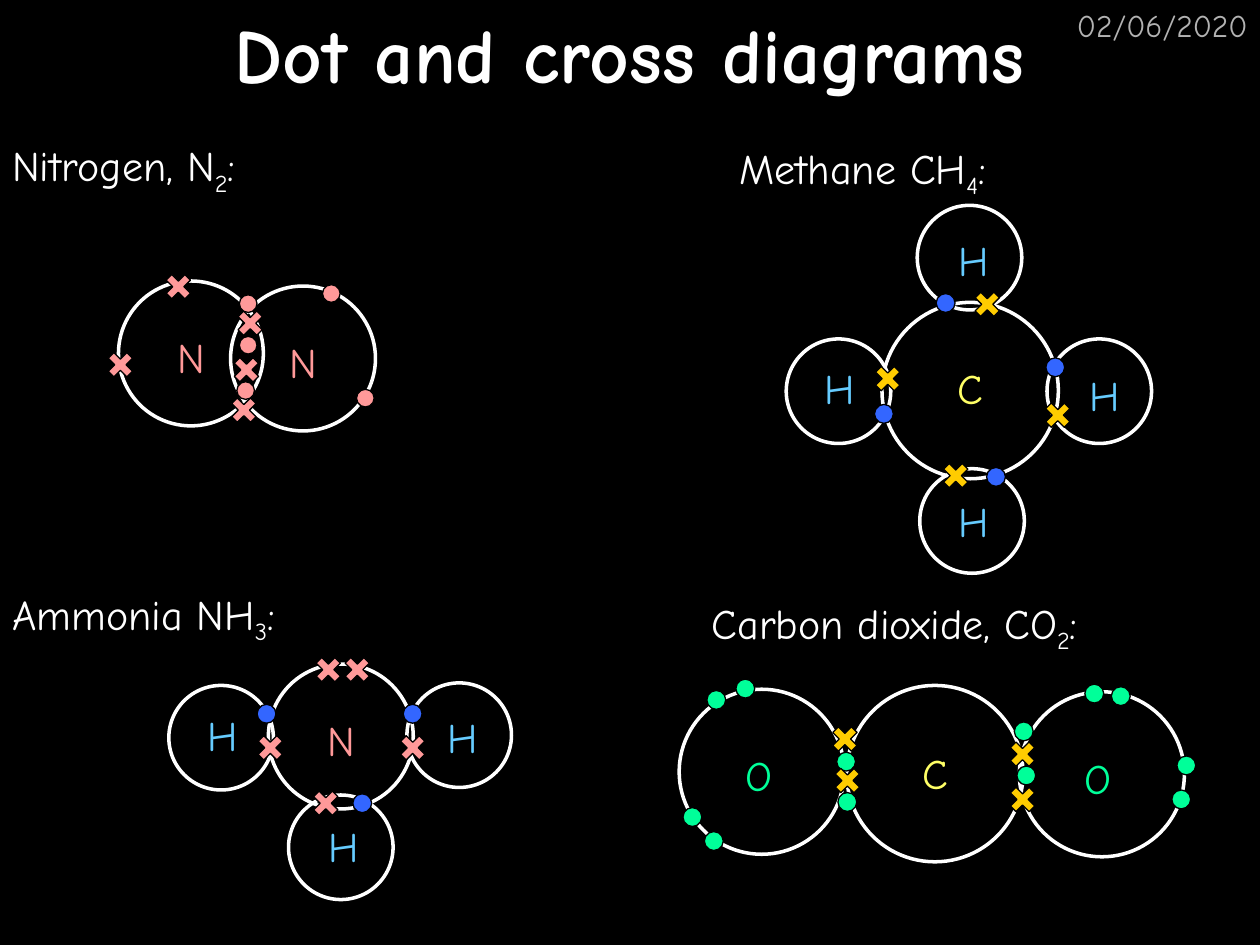
from pptx import Presentation
from pptx.dml.color import RGBColor
from pptx.enum.shapes import MSO_SHAPE as Shape
from pptx.enum.text import MSO_ANCHOR as Anchor, MSO_AUTO_SIZE as AutoSize, PP_ALIGN as Align
from pptx.util import Inches, Pt

FONT = "Comic Neue"
BLACK = RGBColor(0x00, 0x00, 0x00)
WHITE = RGBColor(0xFF, 0xFF, 0xFF)
GREY = RGBColor(0xB2, 0xB2, 0xB2)
PINK = RGBColor(0xFF, 0x99, 0x99)
BLUE = RGBColor(0x33, 0x66, 0xFF)
SKY = RGBColor(0x66, 0xCC, 0xFF)
YELLOW = RGBColor(0xFF, 0xFF, 0x66)
GOLD = RGBColor(0xFF, 0xCC, 0x00)
GREEN = RGBColor(0x00, 0xFF, 0x99)

H_SHELL, N_SHELL, C_SHELL, O_SHELL = 0.83, 1.15, 1.4, 1.31
H_WIDTH, N_WIDTH, C_WIDTH, O_WIDTH = 0.65, 0.58, 0.52, 0.65
DOT, CROSS = 0.15, 0.21
LINE_HEIGHT = 0.5


def add_run(p, text, color, size=24, bold=False):
    """Append a formatted run to a paragraph."""
    r = p.add_run()
    r.text = text
    r.font.name = FONT
    r.font.size = Pt(size)
    r.font.bold = bold
    r.font.color.rgb = color
    return r


def add_text(shapes, left, top, width, align=Align.LEFT):
    """Add a one-line text box and return its paragraph."""
    sp = shapes.add_textbox(Inches(left), Inches(top), Inches(width), Inches(LINE_HEIGHT))
    sp.text_frame.word_wrap = True
    p = sp.text_frame.paragraphs[0]
    p.alignment = align
    return p


class Molecule:
    """A group of shells, symbols and electrons placed from one corner."""

    def __init__(self, slide, left, top):
        """Start an empty group at the given corner."""
        self.shapes = slide.shapes.add_group_shape().shapes
        self.left, self.top = left, top

    def add_shape(self, kind, x, y, size, line_color, line_width):
        """Add a square-bounded shape with an outline."""
        sp = self.shapes.add_shape(kind, Inches(self.left + x), Inches(self.top + y),
                                   Inches(size), Inches(size))
        sp.shadow.inherit = False
        sp.line.color.rgb = line_color
        sp.line.width = Pt(line_width)
        return sp

    def shells(self, size, places):
        """Draw outer electron shells."""
        for x, y in places:
            self.add_shape(Shape.OVAL, x, y, size, WHITE, 2).fill.background()

    def symbols(self, text, width, color, places):
        """Write the symbol of an element."""
        for x, y in places:
            p = add_text(self.shapes, self.left + x, self.top + y, width, Align.CENTER)
            add_run(p, text, color)

    def dots(self, color, places, size=DOT):
        """Draw electrons as dots."""
        for x, y in places:
            sp = self.add_shape(Shape.OVAL, x, y, size, BLACK, 0.75)
            sp.fill.solid()
            sp.fill.fore_color.rgb = color

    def crosses(self, color, places):
        """Draw electrons as crosses."""
        for x, y in places:
            sp = self.add_shape(Shape.CROSS, x, y, CROSS, BLACK, 0.75)
            sp.adjustments[0] = 0.35
            sp.rotation = 135
            sp.fill.solid()
            sp.fill.fore_color.rgb = color


def add_header(slide, width):
    """Place the date and the title across the top."""
    p = add_text(slide.shapes, width - 2.08, 0, 2.08, Align.RIGHT)
    add_run(p, "02/06/2020", GREY, 18)
    title = slide.shapes.title
    title.left, title.top = Inches(0), Inches(0)
    title.width, title.height = Inches(width), Inches(0.83)
    tf = title.text_frame
    tf.auto_size = AutoSize.NONE
    tf.vertical_anchor = Anchor.MIDDLE
    p = tf.paragraphs[0]
    p.alignment = Align.CENTER
    add_run(p, "Dot and cross diagrams", WHITE, 44, True)


def add_caption(slide, left, top, width, name, count):
    """Write a molecule's name and formula with a subscript count."""
    p = add_text(slide.shapes, left, top, width)
    add_run(p, name, WHITE)
    r = add_run(p, count, WHITE)
    r.font._element.set("baseline", "-25000")
    add_run(p, ":", WHITE)


def add_ammonia(slide, left, top):
    """Draw ammonia from the given corner."""
    m = Molecule(slide, left, top)
    m.shells(N_SHELL, [(0.79, 0.06)])
    m.shells(H_SHELL, [(0, 0.23), (1.89, 0.21), (0.95, 1.1)])
    m.symbols("H", H_WIDTH, SKY, [(0.1, 0.37), (2.01, 0.39), (1.06, 1.25)])
    m.symbols("N", N_WIDTH, PINK, [(1.08, 0.41)])
    m.dots(BLUE, [(0.7, 0.38), (1.86, 0.38), (1.46, 1.09)])
    m.crosses(PINK, [(1.16, 0), (1.39, 0), (0.7, 0.62), (1.83, 0.62), (1.14, 1.06)])


def add_methane(slide, left, top):
    """Draw methane from the given corner."""
    m = Molecule(slide, left, top)
    m.shells(C_SHELL, [(0.76, 0.77)])
    m.shells(H_SHELL, [(2.07, 1.06), (0, 1.06), (1.06, 2.09), (1.04, 0)])
    m.symbols("H", H_WIDTH, SKY, [(2.2, 1.25), (0.1, 1.2), (1.16, 2.25), (1.16, 0.18)])
    m.symbols("C", C_WIDTH, YELLOW, [(1.2, 1.2)])
    m.dots(BLUE, [(2.06, 1.21), (0.7, 1.58), (1.59, 2.08), (1.19, 0.7)])
    m.crosses(GOLD, [(2.05, 1.56), (0.7, 1.27), (1.24, 2.04), (1.49, 0.68)])


def add_nitrogen(slide, left, top):
    """Draw nitrogen from the given corner."""
    m = Molecule(slide, left, top)
    m.shells(N_SHELL, [(0.98, 0.1), (0.09, 0.06)])
    m.symbols("N", N_WIDTH, PINK, [(0.38, 0.41), (1.27, 0.45)])
    m.crosses(PINK, [(0.46, 0), (0, 0.62), (1, 0.66), (1.03, 0.29), (0.98, 0.98)])
    m.dots(PINK, [(1.05, 0.17), (1.71, 0.09), (1.98, 0.92), (1.03, 0.86), (1.05, 0.5)], 0.14)


def add_carbon_dioxide(slide, left, top):
    """Draw carbon dioxide from the given corner."""
    m = Molecule(slide, left, top)
    m.shells(C_SHELL, [(1.33, 0.05)])
    m.shells(O_SHELL, [(0, 0.08), (2.7, 0.1)])
    m.symbols("O", O_WIDTH, GREEN, [(0.31, 0.51), (3, 0.53)])
    m.symbols("C", C_WIDTH, YELLOW, [(1.77, 0.49)])
    m.dots(GREEN, [(0.45, 0), (0.22, 0.09), (0.2, 1.21), (0.03, 1.02),
                   (1.25, 0.58), (1.26, 0.9)])
    m.crosses(GOLD, [(2.62, 0.85), (2.62, 0.49), (1.21, 0.37), (1.23, 0.7)])
    m.dots(GREEN, [(3.22, 0.04), (3.43, 0.06), (2.66, 0.34), (2.68, 0.69),
                   (3.95, 0.61), (3.91, 0.88)])


def main():
    """Build the slide and save it."""
    prs = Presentation()
    prs.slide_width, prs.slide_height = Inches(10), Inches(7.5)
    slide = prs.slides.add_slide(prs.slide_layouts[5])
    slide.background.fill.solid()
    slide.background.fill.fore_color.rgb = BLACK
    add_header(slide, 10)
    add_caption(slide, 0, 1.06, 3.27, "Nitrogen, N", "2")
    add_caption(slide, 5.55, 4.69, 3.96, "Carbon dioxide, CO", "2")
    add_caption(slide, 0, 4.62, 3.6, "Ammonia NH", "3")
    add_caption(slide, 5.77, 1.08, 3.92, "Methane CH", "4")
    add_ammonia(slide, 1.34, 5.21)
    add_methane(slide, 6.24, 1.63)
    add_nitrogen(slide, 0.85, 2.17)
    add_carbon_dioxide(slide, 5.39, 5.39)
    prs.save("out.pptx")


if __name__ == "__main__":
    main()
